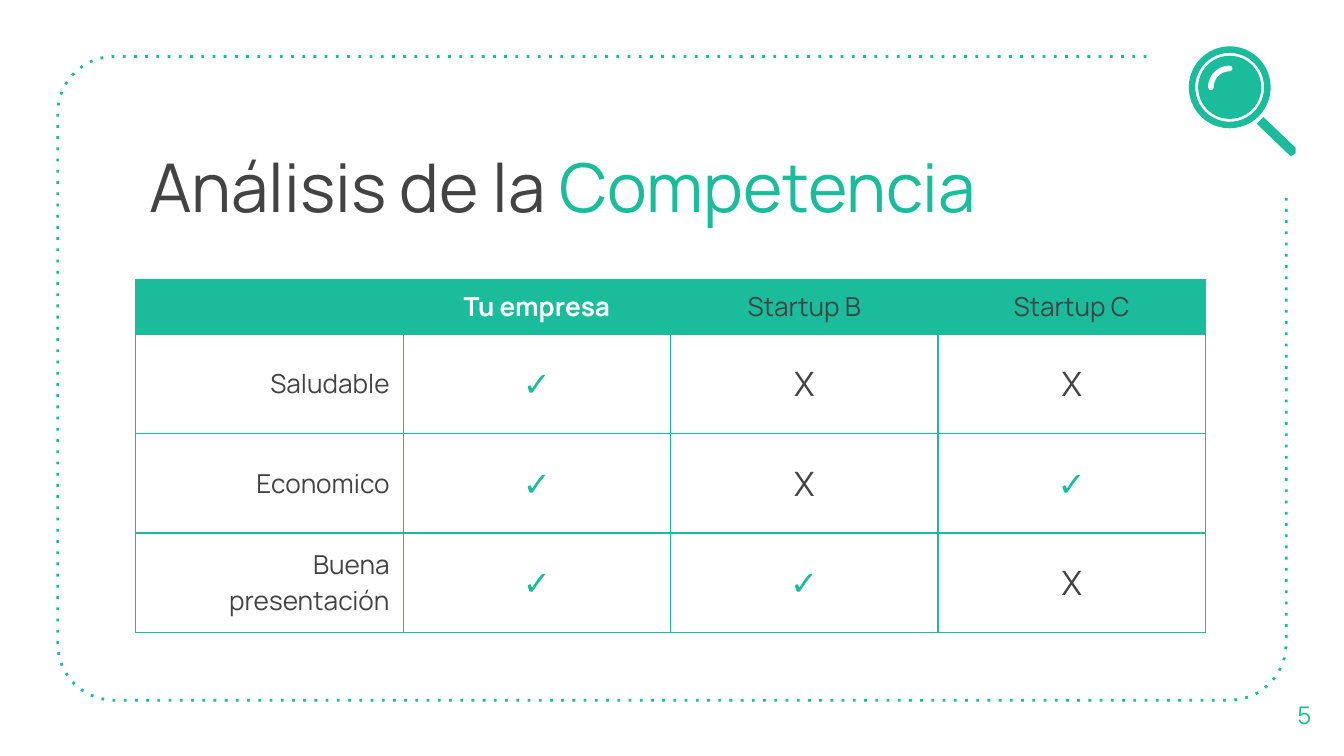
"""Build the competitor analysis slide with its comparison table."""
from math import cos, radians, sin

from lxml.etree import SubElement
from pptx import Presentation
from pptx.dml.color import RGBColor
from pptx.enum.shapes import MSO_SHAPE as SHAPE
from pptx.enum.text import MSO_ANCHOR as ANCHOR, MSO_AUTO_SIZE, PP_ALIGN as ALIGN
from pptx.oxml.ns import qn
from pptx.util import Inches, Pt

GREEN, GRAY, WHITE = "1ABC9C", "434343", "FFFFFF"
FONT = "Manrope"
TITLE = [("Análisis de la", GRAY), (" Competencia", GREEN)]
ROWS = [
    ("", "Tu empresa", "Startup B", "Startup C"),
    ("Saludable", "✓", "X", "X"),
    ("Economico", "✓", "X", "✓"),
    ("Buena presentación", "✓", "✓", "X"),
]
WIDTH = 10
COLUMN_WIDTH, HEADER_HEIGHT, ROW_HEIGHT = 1.99, 0.36, 0.74
TABLE_LEFT, TABLE_TOP = 1.01, 2.08
LEFT, TOP, RIGHT, BOTTOM, RADIUS = 0.43, 0.42, 9.57, 5.21, 0.42
LENS_X, LENS_Y = 9.15, 0.65
HANDLE = [(9.4, 0.87), (9.35, 0.92), (9.59, 1.15), (9.6, 1.16), (9.61, 1.16),
          (9.64, 1.14), (9.64, 1.1)]


def rgb(color):
    return RGBColor.from_string(color)


def style(span, size, color, bold=False):
    span.font.name, span.font.size, span.font.bold = FONT, Pt(size), bold
    span.font.color.rgb = rgb(color)


def arc(x, y, radius, start, end, steps=12):
    angles = [radians(start + (end - start) * i / steps) for i in range(steps + 1)]
    return [(x + radius * cos(a), y + radius * sin(a)) for a in angles]


def outline(page, points, closed=False):
    points = [(Inches(x), Inches(y)) for x, y in points]
    builder = page.shapes.build_freeform(*points[0])
    builder.add_line_segments(points[1:], close=closed)
    shape = builder.convert_to_shape()
    shape.shadow.inherit = False
    return shape


def stroke(shape, color, width):
    shape.fill.background()
    shape.line.color.rgb = rgb(color)
    shape.line.width = Pt(width)


def paint(shape):
    shape.shadow.inherit = False
    shape.fill.solid()
    shape.fill.fore_color.rgb = rgb(GREEN)
    shape.line.fill.background()


def add_frame(page):
    corners = [(LEFT + RADIUS, TOP + RADIUS, 270), (LEFT + RADIUS, BOTTOM - RADIUS, 180),
               (RIGHT - RADIUS, BOTTOM - RADIUS, 90)]
    points = [(8.53, TOP)]
    for x, y, start in corners:
        points += arc(x, y, RADIUS, start, start - 90)
    frame = outline(page, points + [(RIGHT, 1.46)])
    stroke(frame, GREEN, 1.5)
    SubElement(frame.line._ln, qn("a:prstDash"), val="dot")


def add_magnifier(page):
    for kind, radius in ((SHAPE.DONUT, 0.305), (SHAPE.OVAL, 0.235)):
        disc = page.shapes.add_shape(kind, Inches(LENS_X - radius), Inches(LENS_Y - radius),
                                     Inches(2 * radius), Inches(2 * radius))
        if kind == SHAPE.DONUT:
            disc.adjustments[0] = 0.08
        paint(disc)
    shine = outline(page, arc(LENS_X, LENS_Y, 0.14, 180, 270))
    stroke(shine, WHITE, 3)
    shine.line._ln.set("cap", "rnd")
    paint(outline(page, HANDLE, closed=True))


def add_borders(cell):
    for side in ("lnL", "lnR", "lnT", "lnB"):
        line = SubElement(cell._tc.get_or_add_tcPr(), qn("a:" + side), w=str(Pt(0.75)))
        SubElement(SubElement(line, qn("a:solidFill")), qn("a:srgbClr"), val=GREEN)


def cell_style(row, column, text):
    if row == 0:
        return (14, WHITE, True) if column == 1 else (14, GRAY)
    if column == 0:
        return 14, GRAY
    return 18, GREEN if text == "✓" else GRAY


def add_comparison(page):
    height = HEADER_HEIGHT + ROW_HEIGHT * (len(ROWS) - 1)
    table = page.shapes.add_table(
        len(ROWS), len(ROWS[0]), Inches(TABLE_LEFT), Inches(TABLE_TOP),
        Inches(COLUMN_WIDTH * len(ROWS[0])), Inches(height)).table
    table.first_row = table.horz_banding = False
    for column in table.columns:
        column.width = Inches(COLUMN_WIDTH)
    for r, values in enumerate(ROWS):
        table.rows[r].height = Inches(ROW_HEIGHT if r else HEADER_HEIGHT)
        for c, text in enumerate(values):
            cell = table.cell(r, c)
            add_borders(cell)
            if r:
                cell.fill.background()
            else:
                cell.fill.solid()
                cell.fill.fore_color.rgb = rgb(GREEN)
            cell.margin_left = cell.margin_right = Inches(0.1)
            cell.margin_top = cell.margin_bottom = Inches(0.07)
            cell.vertical_anchor = ANCHOR.MIDDLE
            para = cell.text_frame.paragraphs[0]
            para.alignment = ALIGN.CENTER if c else ALIGN.RIGHT
            if text:
                para.text = text
                style(para.runs[0], *cell_style(r, c, text))
            else:
                SubElement(para._p, qn("a:endParaRPr"), sz="1400")


def set_text(box, spans, size, align, anchor):
    frame = box.text_frame
    frame.word_wrap, frame.auto_size = True, MSO_AUTO_SIZE.NONE
    frame.vertical_anchor = anchor
    frame.margin_left = frame.margin_right = Inches(0.1)
    frame.margin_top = frame.margin_bottom = Inches(0.1)
    para = frame.paragraphs[0]
    para.alignment = align
    for text, color in spans:
        span = para.add_run()
        span.text = text
        style(span, size, color)


def main():
    deck = Presentation()
    deck.slide_width, deck.slide_height = Inches(WIDTH), Inches(WIDTH * 9 / 16)
    page = deck.slides.add_slide(deck.slide_layouts[5])
    add_frame(page)
    title = page.shapes.title
    title.left, title.top = Inches(1.01), Inches(0.98)
    title.width, title.height = Inches(7.51), Inches(0.94)
    set_text(title, TITLE, 36, ALIGN.LEFT, ANCHOR.TOP)
    add_comparison(page)
    number = page.shapes.add_textbox(Inches(9.41), Inches(5.02), Inches(0.59), Inches(0.6))
    set_text(number, [("5", GREEN)], 13, ALIGN.CENTER, ANCHOR.MIDDLE)
    add_magnifier(page)
    deck.save("out.pptx")


if __name__ == "__main__":
    main()
